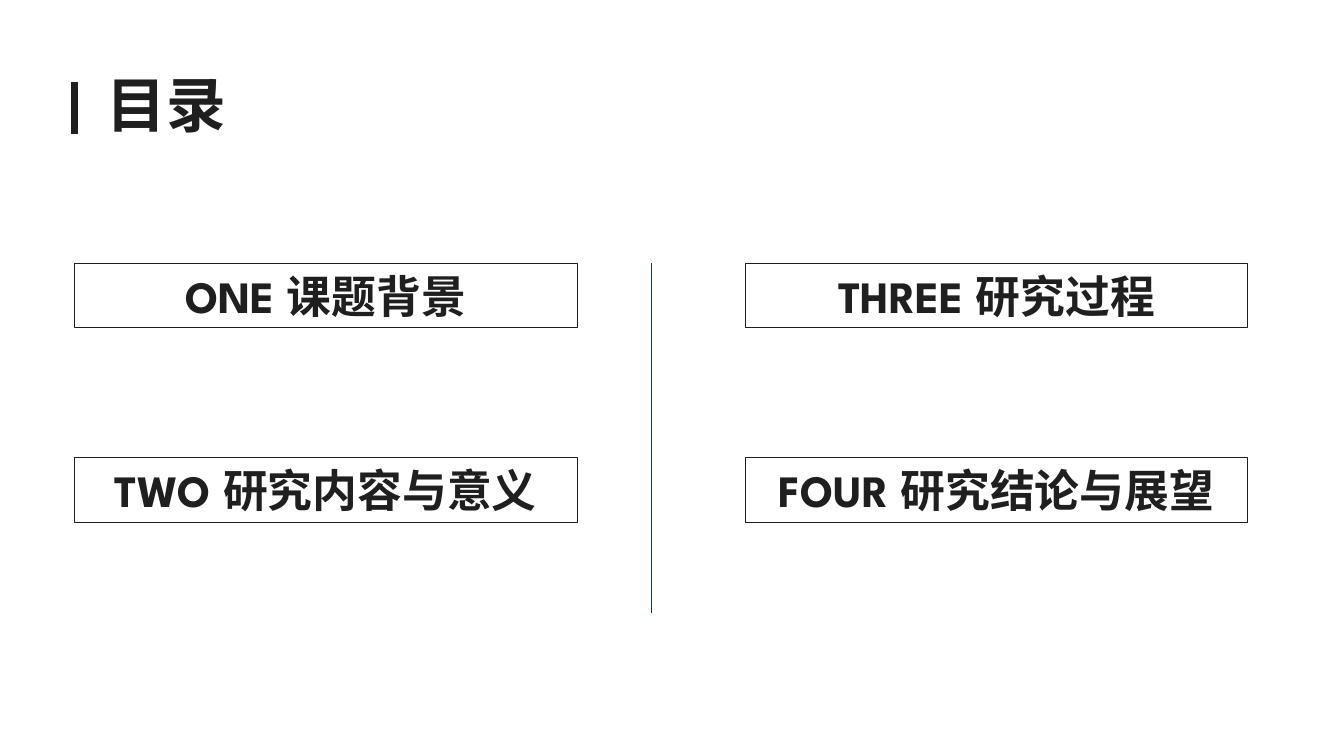
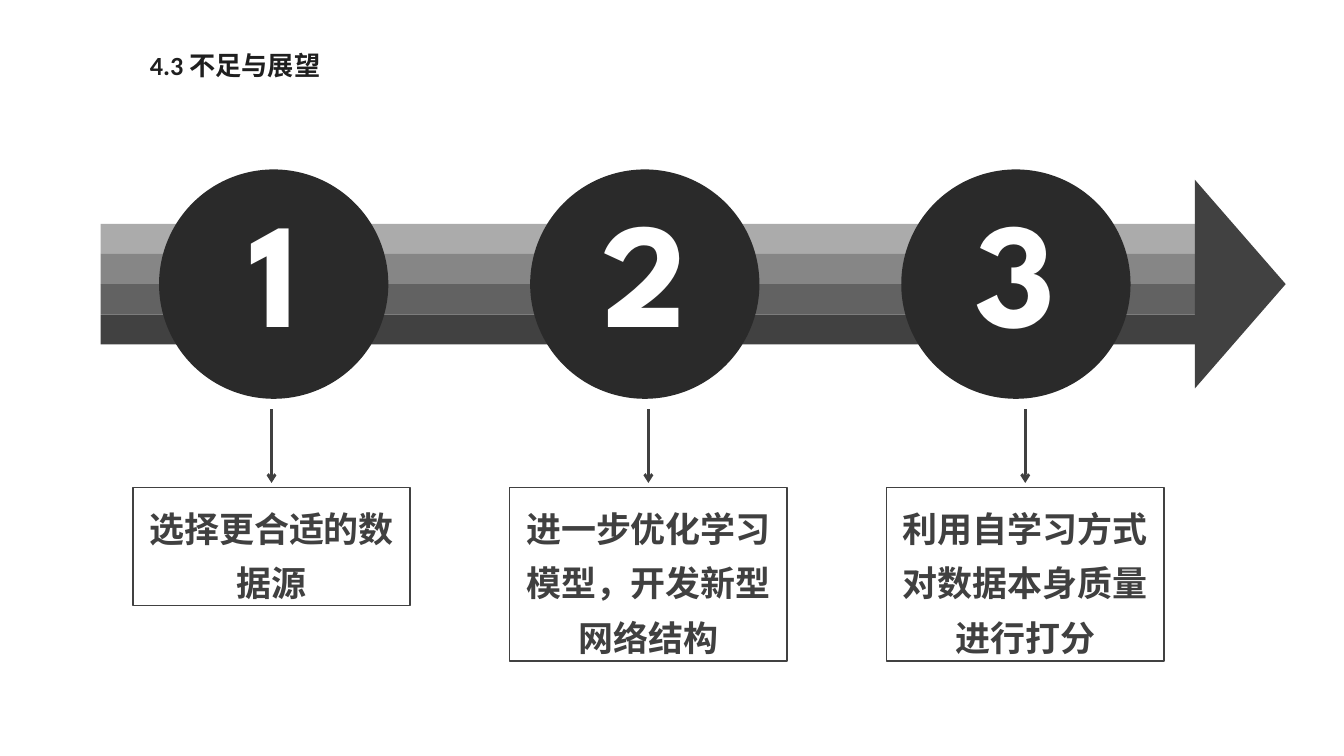
from lxml.etree import SubElement
from pptx import Presentation
from pptx.dml.color import RGBColor
from pptx.enum.shapes import MSO_CONNECTOR, MSO_SHAPE
from pptx.enum.text import MSO_ANCHOR, MSO_AUTO_SIZE, PP_ALIGN
from pptx.oxml.ns import qn
from pptx.util import Cm, Pt

WHITE = RGBColor(0xFF, 0xFF, 0xFF)
INK = RGBColor(0x1F, 0x1F, 0x1F)
NAVY = RGBColor(0x10, 0x31, 0x54)
CIRCLE_BLACK = RGBColor(0x2A, 0x2A, 0x2A)
TEXT_GREY = RGBColor(0x40, 0x40, 0x40)
DARK_GREY = RGBColor(0x41, 0x41, 0x41)
BAND_GREYS = [RGBColor(0xAB, 0xAB, 0xAB), RGBColor(0x86, 0x86, 0x86),
              RGBColor(0x62, 0x62, 0x62), DARK_GREY]

DISPLAY_FONT = "League Spartan"
CAPTION_FONT = "Calibri"
SLIDE_SIZE = (33.88, 19.05)

NARROW_INSETS = (0.25, 0.13)
WIDE_INSETS = (0.33, 0.18)
TITLE_FORMAT = {"size": Pt(42.7), "bold": True, "name": DISPLAY_FONT}
ENTRY_FORMAT = {"size": Pt(32), "bold": True, "name": DISPLAY_FONT}
NUMBER_FORMAT = {"size": Pt(106.7), "bold": True, "name": DISPLAY_FONT}
CARD_FORMAT = {"size": Pt(25), "bold": True, "name": DISPLAY_FONT}
CAPTION_FORMAT = {"size": Pt(18.7), "bold": True, "name": CAPTION_FONT}


def write_text(shape, text, font_format, color, align=PP_ALIGN.CENTER,
               anchor=MSO_ANCHOR.TOP, insets=NARROW_INSETS, spacing=None,
               wrap=True, grow=True):
    side, edge = (Cm(inset) for inset in insets)
    frame = shape.text_frame
    frame_format = {
        "margin_left": side, "margin_right": side,
        "margin_top": edge, "margin_bottom": edge,
        "word_wrap": wrap, "vertical_anchor": anchor,
        "auto_size": MSO_AUTO_SIZE.SHAPE_TO_FIT_TEXT if grow else MSO_AUTO_SIZE.NONE,
    }
    for name, value in frame_format.items():
        setattr(frame, name, value)
    paragraph = frame.paragraphs[0]
    paragraph.alignment = align
    paragraph.line_spacing = spacing
    run = paragraph.add_run()
    run.text = text
    for name, value in font_format.items():
        setattr(run.font, name, value)
    run.font.color.rgb = color


def add_box(slide, kind, box, fill=None, outline=None, outline_width=0.75):
    shape = slide.shapes.add_shape(kind, *map(Cm, box))
    shape.shadow.inherit = False
    if fill is None:
        shape.fill.background()
    else:
        shape.fill.solid()
        shape.fill.fore_color.rgb = fill
    if outline is None:
        shape.line.fill.background()
    else:
        shape.line.color.rgb = outline
        shape.line.width = Pt(outline_width)
    return shape


def add_vertical_line(slide, x, top, bottom, color, width, arrow=False):
    line = slide.shapes.add_connector(MSO_CONNECTOR.STRAIGHT, Cm(x), Cm(top), Cm(x), Cm(bottom))
    line.line.color.rgb = color
    line.line.width = Pt(width)
    if arrow:
        SubElement(line.line._get_or_add_ln(), qn("a:tailEnd"), type="arrow")
    SubElement(line._element.spPr, qn("a:effectLst"))


def add_title(slide, box, text):
    """Large heading with an upright bar to its left."""
    left, top, width, height = box
    add_vertical_line(slide, left - 0.56, top + 0.49, top + 1.81, INK, 4.5)
    title = slide.shapes.add_textbox(*map(Cm, box))
    write_text(title, text, TITLE_FORMAT, INK, align=PP_ALIGN.LEFT, wrap=False)


def add_caption(slide, box, text):
    caption = slide.shapes.add_textbox(*map(Cm, box))
    write_text(caption, text, CAPTION_FORMAT, INK, align=PP_ALIGN.LEFT,
               anchor=MSO_ANCHOR.MIDDLE, insets=WIDE_INSETS, spacing=1.1)


def add_contents_grid(slide, box, columns):
    """Framed entries in two columns, with a line between them."""
    left, top, width, height = box
    entry_width, entry_height, row_pitch = 12.67, 1.63, 4.9
    column_pitch = width - entry_width
    for column, entries in enumerate(columns):
        for row, entry in enumerate(entries):
            place = (left + column * column_pitch, top + row * row_pitch,
                     entry_width, entry_height)
            frame = add_box(slide, MSO_SHAPE.RECTANGLE, place, outline=INK)
            write_text(frame, entry, ENTRY_FORMAT, INK)
    add_vertical_line(slide, left + 14.55, top, top + height, NAVY, 1)


def add_striped_arrow(slide, box):
    left, top, width, height = box
    head_base, head_length = 5.26, 2.29
    shaft_length = width - head_length
    band_height = height / len(BAND_GREYS)
    for index, grey in enumerate(BAND_GREYS):
        place = (left, top + index * band_height, shaft_length, band_height)
        add_box(slide, MSO_SHAPE.RECTANGLE, place, fill=grey)
    center_x = left + shaft_length + head_length / 2
    center_y = top + height / 2
    head = add_box(slide, MSO_SHAPE.ISOSCELES_TRIANGLE,
                   (center_x - head_base / 2, center_y - head_length / 2,
                    head_base, head_length), fill=DARK_GREY)
    head.rotation = 90


def add_number_circles(slide, box, count):
    left, top, width, diameter = box
    pitch = (width - diameter) / (count - 1)
    for index in range(count):
        circle = add_box(slide, MSO_SHAPE.OVAL,
                         (left + index * pitch, top, diameter, diameter), fill=CIRCLE_BLACK)
        write_text(circle, str(index + 1), NUMBER_FORMAT, WHITE, anchor=MSO_ANCHOR.MIDDLE,
                   insets=WIDE_INSETS, spacing=0.8, grow=False)


def add_step_cards(slide, box, steps):
    """Down arrows, each ending above a framed text of two or three lines."""
    left, top, width, height = box
    card_width, card_offset, line_height = 6.99, 1.98, 1.4
    pitch = (width - card_width) / (len(steps) - 1)
    for index, (text, line_count) in enumerate(steps):
        card_left = left + index * pitch
        add_vertical_line(slide, card_left + card_width / 2, top, top + 1.86,
                          TEXT_GREY, 2, arrow=True)
        card_height = height - card_offset - (3 - line_count) * line_height
        card = add_box(slide, MSO_SHAPE.RECTANGLE,
                       (card_left, top + card_offset, card_width, card_height),
                       outline=DARK_GREY, outline_width=1)
        write_text(card, text, CARD_FORMAT, TEXT_GREY, insets=WIDE_INSETS, spacing=1.3)


def add_contents_slide(slide):
    add_title(slide, (2.44, 1.57, 3.56, 2.08), "目录")
    add_contents_grid(slide, (1.88, 6.63, 29.58, 8.81), [
        ["ONE 课题背景", "TWO 研究内容与意义"],
        ["THREE 研究过程", "FOUR 研究结论与展望"],
    ])


def add_outlook_slide(slide):
    steps = [
        ("选择更合适的数据源", 2),
        ("进一步优化学习模型，开发新型网络结构", 3),
        ("利用自学习方式对数据本身质量进行打分", 3),
    ]
    add_striped_arrow(slide, (2.54, 5.64, 29.87, 3.04))
    add_number_circles(slide, (4.01, 4.27, 24.49, 5.78), len(steps))
    add_step_cards(slide, (3.35, 10.31, 25.99, 6.35), steps)
    add_caption(slide, (3.45, 1.02, 8, 1.17), "4.3 不足与展望")


def main():
    presentation = Presentation()
    presentation.slide_width, presentation.slide_height = map(Cm, SLIDE_SIZE)
    blank_layout = presentation.slide_layouts[6]
    for fill_slide in (add_contents_slide, add_outlook_slide):
        fill_slide(presentation.slides.add_slide(blank_layout))
    presentation.save("out.pptx")


if __name__ == "__main__":
    main()
